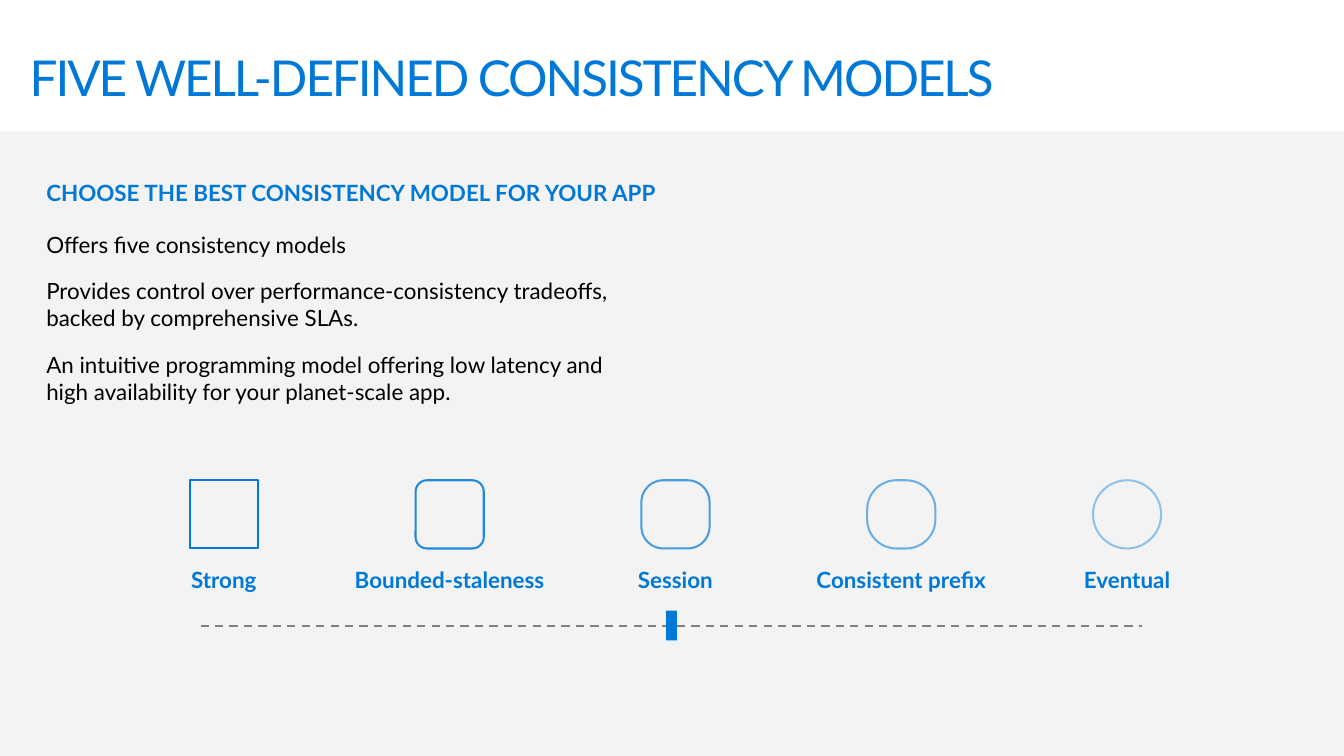
from pptx import Presentation, util as u
from pptx.dml.color import RGBColor
from pptx.enum import dml, shapes, text
from pptx.oxml.ns import qn
from lxml import etree

Inches, Pt = u.Inches, u.Pt
SHAPE = shapes.MSO_SHAPE


class Theme:
    font = "Lato"
    blue = RGBColor.from_string("0078D7")
    black = RGBColor.from_string("000000")
    gray = RGBColor.from_string("808080")
    panel = RGBColor.from_string("F2F2F2")
    icon = RGBColor.from_string("F3F3F3")
    title_size = Pt(36)
    text_size = Pt(16.3)
    line_width = Pt(1.5)


def add_text(box, paragraphs, size, color, bold=False, wrap=True,
             insets=(0.1, 0.05, 0.1, 0.05), gap=0):
    """Add a text box at box (inches), with gap points between paragraphs."""
    s = slide.shapes.add_textbox(*map(Inches, box))
    tf = s.text_frame
    tf.word_wrap = wrap
    tf.vertical_anchor = text.MSO_ANCHOR.TOP
    tf.margin_left, tf.margin_top, tf.margin_right, tf.margin_bottom = map(Inches, insets)
    for i, words in enumerate(paragraphs):
        p = tf.paragraphs[0]
        if i:
            p = tf.add_paragraph()
            p.space_before = Pt(gap)
        r = p.add_run()
        r.text = words
        r.font.name, r.font.size, r.font.bold = Theme.font, size, bold
        r.font.color.rgb = color
    return tf.paragraphs[0]


def add_block(kind, box, fill, fill_alpha=100, line=None, line_alpha=100):
    """Add a filled shape at box (inches); alphas are opacity percentages."""
    s = slide.shapes.add_shape(kind, *map(Inches, box))
    s.shadow.inherit = False
    s.fill.solid()
    s.fill.fore_color.rgb = fill
    if line is None:
        s.line.fill.background()
    else:
        s.line.color.rgb = line
        s.line.width = Theme.line_width
    props = s._element.spPr
    for parent, alpha in ((props, fill_alpha), (props.find(qn("a:ln")), line_alpha)):
        if alpha < 100:
            color = parent.find(qn("a:solidFill")).find(qn("a:srgbClr"))
            etree.SubElement(color, qn("a:alpha")).set("val", str(alpha * 1000))
    return s


prs = Presentation()
prs.slide_width, prs.slide_height = Inches(13.6), Inches(7.65)
slide = prs.slides.add_slide(prs.slide_layouts[6])

add_block(SHAPE.RECTANGLE, (0, 1.33, 13.6, 6.32), Theme.panel, fill_alpha=89)

# Consistency models, from strongest to weakest
models = [
    ("Strong", SHAPE.RECTANGLE, None),
    ("Bounded-staleness", SHAPE.ROUNDED_RECTANGLE, 0.167),
    ("Session", SHAPE.ROUNDED_RECTANGLE, 0.322),
    ("Consistent prefix", SHAPE.ROUNDED_RECTANGLE, 0.427),
    ("Eventual", SHAPE.OVAL, None),
]
first_center, pitch, icon_size, label_width = 2.265, 2.285, 0.69, 2
for i, (name, kind, rounding) in enumerate(models):
    center = first_center + i * pitch
    icon = add_block(kind, (center - icon_size / 2, 4.86, icon_size, icon_size),
                     Theme.icon, line=Theme.blue, line_alpha=100 - 15 * i)
    if rounding:
        icon.adjustments[0] = rounding
    label = add_text((center - label_width / 2, 5.68, label_width, 0.38), [name],
                     Theme.text_size, Theme.blue, bold=True, wrap=False,
                     insets=(0, 0.05, 0, 0.05))
    label.alignment = text.PP_ALIGN.CENTER

# Slider
track = slide.shapes.add_connector(shapes.MSO_CONNECTOR.STRAIGHT, Inches(2.03),
                                   Inches(6.33), Inches(11.56), Inches(6.33))
track.line.color.rgb = Theme.gray
track.line.width = Theme.line_width
track.line.dash_style = dml.MSO_LINE.DASH
etree.SubElement(track._element.spPr, qn("a:effectLst"))
add_block(SHAPE.RECTANGLE, (6.74, 6.18, 0.11, 0.3), Theme.blue)

# Title and body text
title = add_text((0.3, 0.37, 13, 1), ["FIVE WELL-DEFINED CONSISTENCY MODELS"],
                 Theme.title_size, Theme.blue, insets=(0, 0.18, 0, 0))
title.line_spacing = 0.9
title.runs[0].font._element.set("spc", "-150")

add_text((0.37, 1.76, 13, 0.5), ["CHOOSE THE BEST CONSISTENCY MODEL FOR YOUR APP"],
         Theme.text_size, Theme.blue, bold=True)
add_text((0.37, 2.29, 6.27, 2.43), [
    "Offers five consistency models",
    "Provides control over performance-consistency tradeoffs, backed by comprehensive SLAs.",
    "An intuitive programming model offering low latency and high availability "
    "for your planet-scale app.",
], Theme.text_size, Theme.black, gap=14.3)

prs.save("out.pptx")
